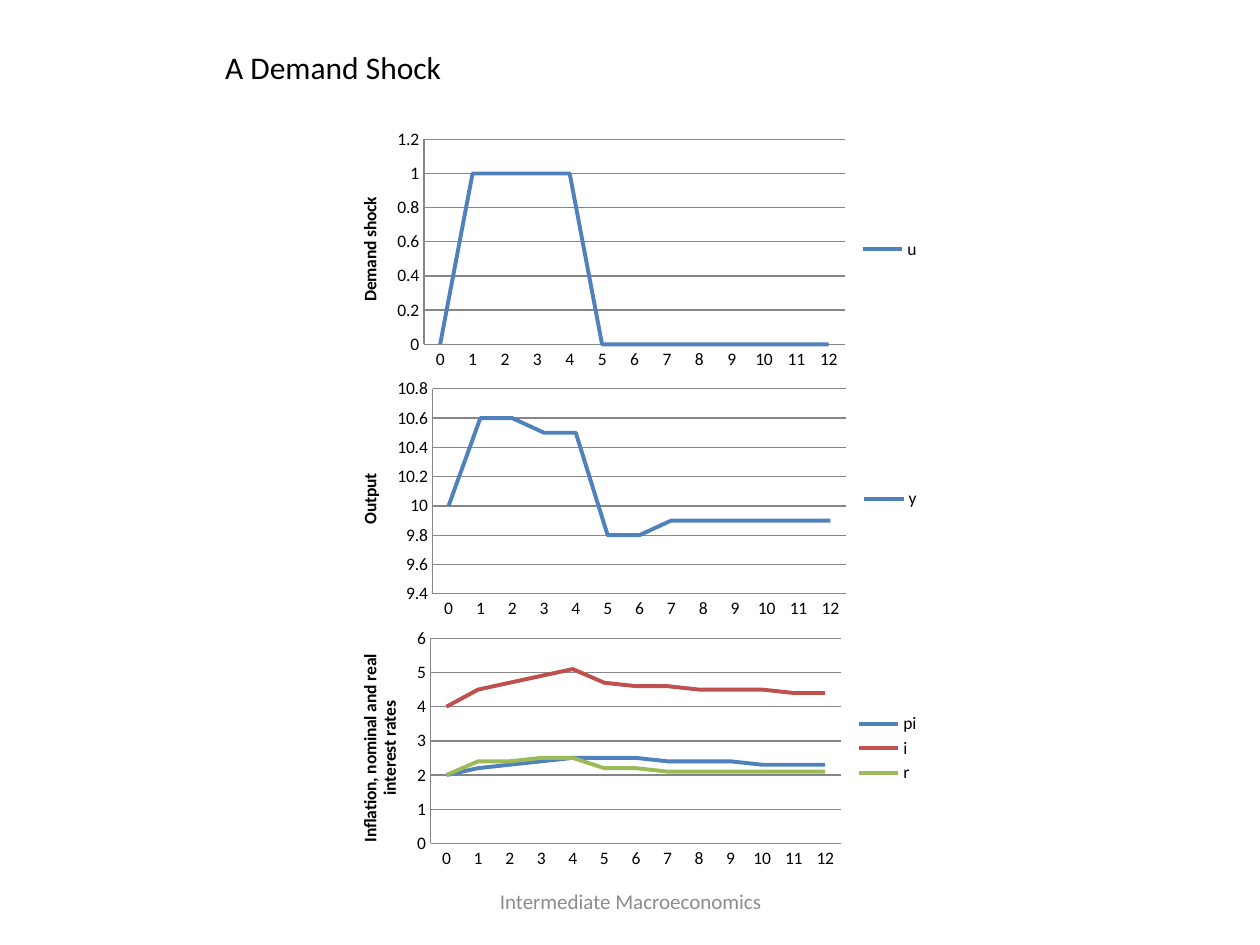
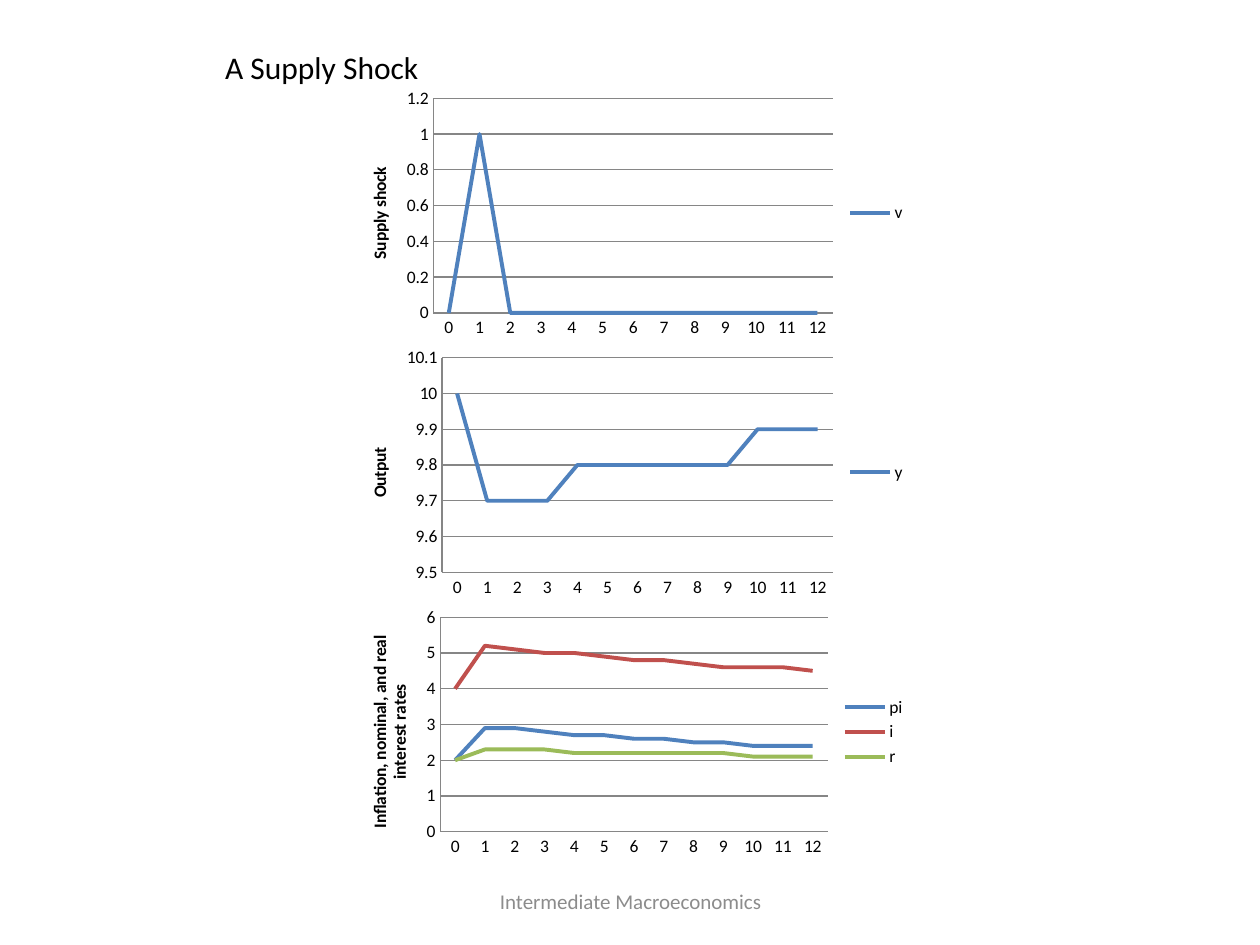
from collections import namedtuple

from pptx import Presentation
from pptx.chart.data import CategoryChartData
from pptx.dml.color import RGBColor
from pptx.enum.chart import XL_CHART_TYPE as ChartType
from pptx.enum.chart import XL_LEGEND_POSITION as LegendPosition
from pptx.enum.chart import XL_TICK_MARK as TickMark
from pptx.enum.text import MSO_ANCHOR as Anchor
from pptx.enum.text import PP_ALIGN as Align
from pptx.util import Cm, Pt

FONT = "Calibri"
BLACK = RGBColor(0x00, 0x00, 0x00)
FOOTER_GREY = RGBColor(0x8C, 0x8C, 0x8C)
GRID_GREY = RGBColor(0x86, 0x86, 0x86)
BLUE = RGBColor(0x4F, 0x81, 0xBD)
RED = RGBColor(0xC0, 0x50, 0x4D)
GREEN = RGBColor(0x9B, 0xBB, 0x59)
SERIES_COLOURS = (BLUE, RED, GREEN)

PERIODS = [str(period) for period in range(13)]

Box = namedtuple("Box", "left top width height")  # centimetres
Panel = namedtuple("Panel", "axis_title low high step series")

TITLE_BOX = Box(4.29, 0.84, 16.99, 1.02)
FOOTER_BOX = Box(8.69, 17.65, 8.05, 1.02)
DEMAND_BOX = Box(6.71, 2.51, 12.09, 15.09)
SUPPLY_BOX = Box(6.91, 1.68, 11.61, 15.69)

DEMAND_PANELS = [
    Panel("Demand shock", 0, 1.2, 0.2, {"u": [0] + [1] * 4 + [0] * 8}),
    Panel("Output", 9.4, 10.8, 0.2, {
        "y": [10, 10.6, 10.6, 10.5, 10.5, 9.8, 9.8, 9.9, 9.9, 9.9, 9.9, 9.9, 9.9],
    }),
    Panel("Inflation, nominal and real interest rates", 0, 6, 1, {
        "pi": [2, 2.2, 2.3, 2.4, 2.5, 2.5, 2.5, 2.4, 2.4, 2.4, 2.3, 2.3, 2.3],
        "i": [4, 4.5, 4.7, 4.9, 5.1, 4.7, 4.6, 4.6, 4.5, 4.5, 4.5, 4.4, 4.4],
        "r": [2, 2.4, 2.4, 2.5, 2.5, 2.2, 2.2, 2.1, 2.1, 2.1, 2.1, 2.1, 2.1],
    }),
]
SUPPLY_PANELS = [
    Panel("Supply shock", 0, 1.2, 0.2, {"v": [0, 1] + [0] * 11}),
    Panel("Output", 9.5, 10.1, 0.1, {
        "y": [10, 9.7, 9.7, 9.7, 9.8, 9.8, 9.8, 9.8, 9.8, 9.8, 9.9, 9.9, 9.9],
    }),
    Panel("Inflation, nominal, and real interest rates", 0, 6, 1, {
        "pi": [2, 2.9, 2.9, 2.8, 2.7, 2.7, 2.6, 2.6, 2.5, 2.5, 2.4, 2.4, 2.4],
        "i": [4, 5.2, 5.1, 5, 5, 4.9, 4.8, 4.8, 4.7, 4.6, 4.6, 4.6, 4.5],
        "r": [2, 2.3, 2.3, 2.3, 2.2, 2.2, 2.2, 2.2, 2.2, 2.2, 2.1, 2.1, 2.1],
    }),
]


def style_font(font, size, colour=BLACK, bold=False):
    font.name = FONT
    font.size = Pt(size)
    font.bold = bold
    font.color.rgb = colour


def style_line(line, colour, width):
    line.color.rgb = colour
    line.width = Pt(width)


def add_text(slide, box, text, size, colour=BLACK, align=Align.LEFT, anchor=Anchor.TOP):
    frame = slide.shapes.add_textbox(*map(Cm, box)).text_frame
    frame.word_wrap = True
    frame.vertical_anchor = anchor
    paragraph = frame.paragraphs[0]
    paragraph.alignment = align
    run = paragraph.add_run()
    run.text = text
    style_font(run.font, size, colour)


def style_value_axis(axis, panel):
    axis.minimum_scale = panel.low
    axis.maximum_scale = panel.high
    axis.major_unit = panel.step
    axis.has_major_gridlines = True
    style_line(axis.major_gridlines.format.line, GRID_GREY, 0.75)
    frame = axis.axis_title.text_frame
    frame.text = panel.axis_title
    style_font(frame.paragraphs[0].runs[0].font, 10, bold=True)
    for body in axis.axis_title._element.xpath(".//a:bodyPr"):
        body.set("rot", "-5400000")
        body.set("vert", "horz")


def add_panel(slide, box, panel):
    data = CategoryChartData()
    data.categories = PERIODS
    for name, values in panel.series.items():
        data.add_series(name, values)
    chart = slide.shapes.add_chart(ChartType.LINE, *map(Cm, box), data).chart
    chart.has_title = False
    style_font(chart.font, 10)
    chart.has_legend = True
    chart.legend.position = LegendPosition.RIGHT
    chart.legend.include_in_layout = False

    for axis in (chart.category_axis, chart.value_axis):
        axis.major_tick_mark = axis.minor_tick_mark = TickMark.NONE
        style_line(axis.format.line, GRID_GREY, 0.75)
    style_value_axis(chart.value_axis, panel)

    plot = chart.plots[0]
    plot.vary_by_categories = False
    for series, colour in zip(plot.series, SERIES_COLOURS):
        series.smooth = False
        style_line(series.format.line, colour, 2.25)


def add_panel_stack(slide, box, panels):
    """Split the box into equal rows, one chart in each."""
    height = box.height / len(panels)
    for row, panel in enumerate(panels):
        add_panel(slide, Box(box.left, box.top + row * height, box.width, height), panel)


def add_shock_slide(deck, title, box, panels):
    slide = deck.slides.add_slide(deck.slide_layouts[6])
    add_text(slide, FOOTER_BOX, "Intermediate Macroeconomics", 12, FOOTER_GREY,
             align=Align.CENTER, anchor=Anchor.MIDDLE)
    add_text(slide, TITLE_BOX, title, 18)
    add_panel_stack(slide, box, panels)


def main():
    deck = Presentation()
    deck.slide_width, deck.slide_height = Cm(25.4), Cm(19.05)
    add_shock_slide(deck, "A Demand Shock", DEMAND_BOX, DEMAND_PANELS)
    add_shock_slide(deck, "A Supply Shock", SUPPLY_BOX, SUPPLY_PANELS)
    deck.save("out.pptx")


if __name__ == "__main__":
    main()
